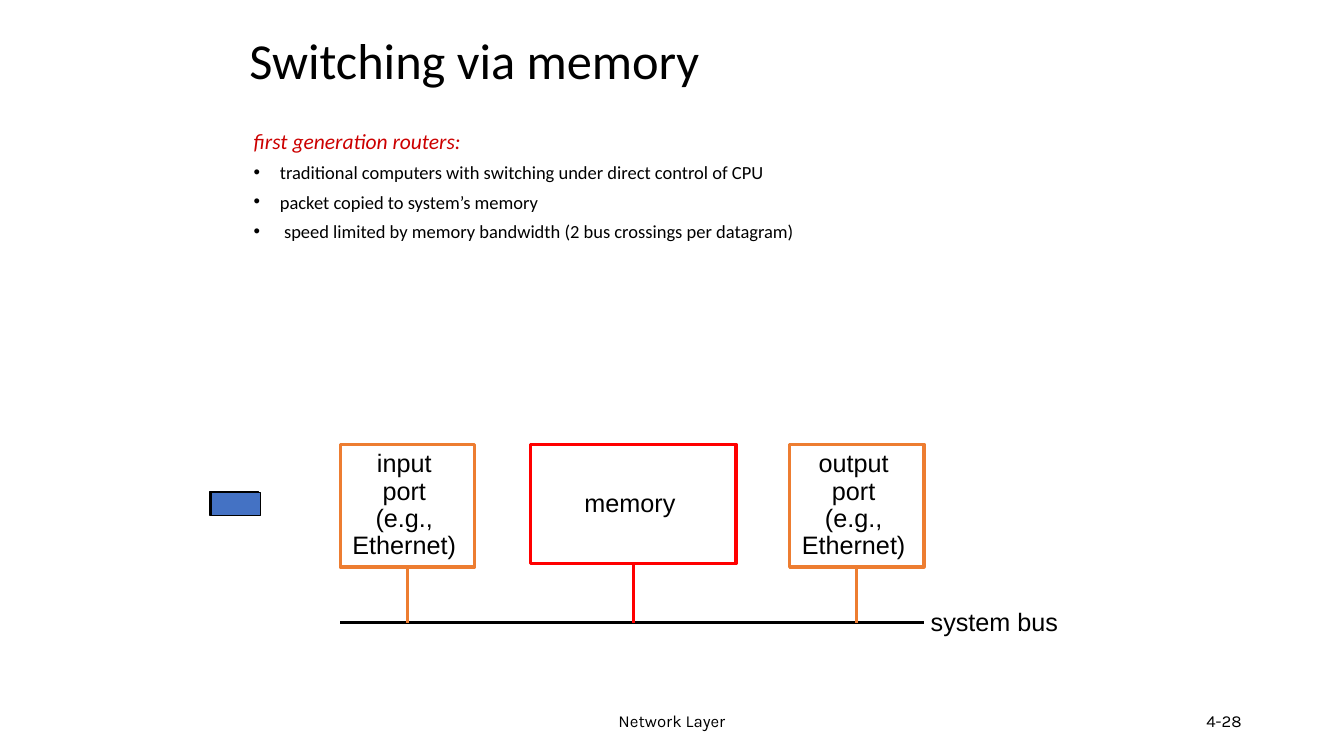
from lxml.etree import SubElement
from pptx import Presentation
from pptx.dml.color import RGBColor
from pptx.enum.shapes import MSO_CONNECTOR, MSO_SHAPE
from pptx.enum.text import MSO_ANCHOR, MSO_AUTO_SIZE, PP_ALIGN
from pptx.oxml.ns import qn
from pptx.util import Pt

PX = 9525
BLACK, WHITE, ORANGE, RED, CRIMSON, BLUE = (
    "000000", "FFFFFF", "ED7D31", "FF0000", "CC0000", "4472C4")


def px(*lengths):
    """Turn whole px lengths into EMU."""
    return [n * PX for n in lengths]


def rgb(color):
    """Turn a hex string into a colour."""
    return RGBColor.from_string(color)


def add_run(p, text, font, size, color=BLACK, italic=False):
    """Add one formatted run to a paragraph."""
    r = p.add_run()
    r.text = text
    r.font.name, r.font.size = font, Pt(size)
    r.font.color.rgb = rgb(color)
    r.font.italic = italic


def add_label(s, box, text, font, size, align):
    """Add a one-line text box, centred vertically."""
    tf = s.shapes.add_textbox(*px(*box)).text_frame
    tf.word_wrap = True
    tf.vertical_anchor = MSO_ANCHOR.MIDDLE
    p = tf.paragraphs[0]
    p.alignment = align
    add_run(p, text, font, size)


def add_rect(s, box, fill, line, width):
    """Add a flat rectangle."""
    sp = s.shapes.add_shape(MSO_SHAPE.RECTANGLE, *px(*box))
    sp.shadow.inherit = False
    sp.fill.solid()
    sp.fill.fore_color.rgb = rgb(fill)
    sp.line.color.rgb = rgb(line)
    sp.line.width = Pt(width)
    return sp


def add_line(s, start, end, color):
    """Add a flat straight connector."""
    c = s.shapes.add_connector(MSO_CONNECTOR.STRAIGHT, *px(*start, *end))
    c.line.color.rgb = rgb(color)
    c.line.width = Pt(2.25)
    SubElement(c._element.spPr, qn("a:effectLst"))
    return c


def place(sp, box):
    """Move a placeholder to a box."""
    sp.left, sp.top, sp.width, sp.height = px(*box)
    tf = sp.text_frame
    tf.word_wrap = True
    tf.auto_size = MSO_AUTO_SIZE.NONE
    return tf


def fill_title(s, box, text):
    """Fill the title placeholder."""
    tf = place(s.shapes.title, box)
    tf.vertical_anchor = MSO_ANCHOR.MIDDLE
    p = tf.paragraphs[0]
    p.alignment = PP_ALIGN.LEFT
    p.line_spacing = 0.9
    add_run(p, text, "Calibri", 36)


def fill_body(s, box, heading, items):
    """Fill the body placeholder with a heading and bulleted items."""
    tf = place(s.placeholders[1], box)
    tf.vertical_anchor = MSO_ANCHOR.TOP
    for i, text in enumerate([heading] + items):
        p = tf.add_paragraph() if i else tf.paragraphs[0]
        pPr = p._p.get_or_add_pPr()
        pPr.set("marL", str(25 * PX))
        pPr.set("indent", str(-25 * PX))
        if i:
            SubElement(pPr, qn("a:buFont"), typeface="Arial")
            SubElement(pPr, qn("a:buChar"), char="•")
        else:
            SubElement(pPr, qn("a:buNone"))
        p.line_spacing = 0.7
        p.space_before = Pt(10 if i else 0)
        if i:
            add_run(p, text, "Calibri", 13.2)
        else:
            add_run(p, text, "Calibri", 15.4, CRIMSON, True)


def add_unit(s, box, lines, color, bus_y):
    """Add a captioned block and its leg down to the bus."""
    x, y, w, h = box
    sp = add_rect(s, box, WHITE, color, 2.25)
    tf = sp.text_frame
    tf.word_wrap = True
    tf.vertical_anchor = MSO_ANCHOR.MIDDLE
    tf.margin_left, tf.margin_right = px(0, 6)
    for i, text in enumerate(lines):
        p = tf.add_paragraph() if i else tf.paragraphs[0]
        p.alignment = PP_ALIGN.CENTER
        p.line_spacing = 0.9
        add_run(p, text, "Arial", 18)
    leg = add_line(s, (x + w // 2, y + h), (x + w // 2, bus_y), color)
    leg.begin_connect(sp, 2)


def add_diagram(s, box):
    """Draw the ports and memory above the system bus."""
    x, y, w, h = box
    bus_y = y + h
    port_w, port_h = 128, 117
    add_line(s, (x, bus_y), (x + w, bus_y), BLACK)
    for left, name in ((x, "input"), (x + w - port_w, "output")):
        add_unit(s, (left, y, port_w, port_h),
                 [name, "port", "(e.g.,", "Ethernet)"], ORANGE, bus_y)
    add_unit(s, (x + 181, y, 196, 114), ["memory"], RED, bus_y)
    add_label(s, (x + w - 3, bus_y - 20, 145, 38), "system bus", "Arial", 18,
              PP_ALIGN.LEFT)


def add_packets(s, box):
    """Draw two stacked packets, the second one px off the first."""
    x, y, w, h = box
    for d in range(2):
        add_rect(s, (x + d, y + d, w + d, h - d), BLUE, BLACK, 0.75)


def add_footer(s, box, text, number):
    """Add the footer text and the slide number."""
    x, y, w, h = box
    add_label(s, (x, y, 432, h), text, "Karla", 12, PP_ALIGN.CENTER)
    add_label(s, (x + w - 288, y, 288, h), number, "Karla", 12, PP_ALIGN.RIGHT)


def main():
    """Build the slide and save it."""
    prs = Presentation()
    prs.slide_width, prs.slide_height = px(1280, 720)
    s = prs.slides.add_slide(prs.slide_layouts[1])
    add_footer(s, (424, 667, 768, 38), "Network Layer", "4-28")
    fill_title(s, (228, 28, 816, 64), "Switching via memory")
    fill_body(s, (232, 124, 824, 112), "first generation routers:", [
        "traditional computers with switching under direct control of CPU",
        "packet copied to system’s memory",
        " speed limited by memory bandwidth (2 bus crossings per datagram)",
    ])
    add_diagram(s, (324, 423, 556, 170))
    add_packets(s, (200, 468, 46, 23))
    prs.save("out.pptx")


if __name__ == "__main__":
    main()
